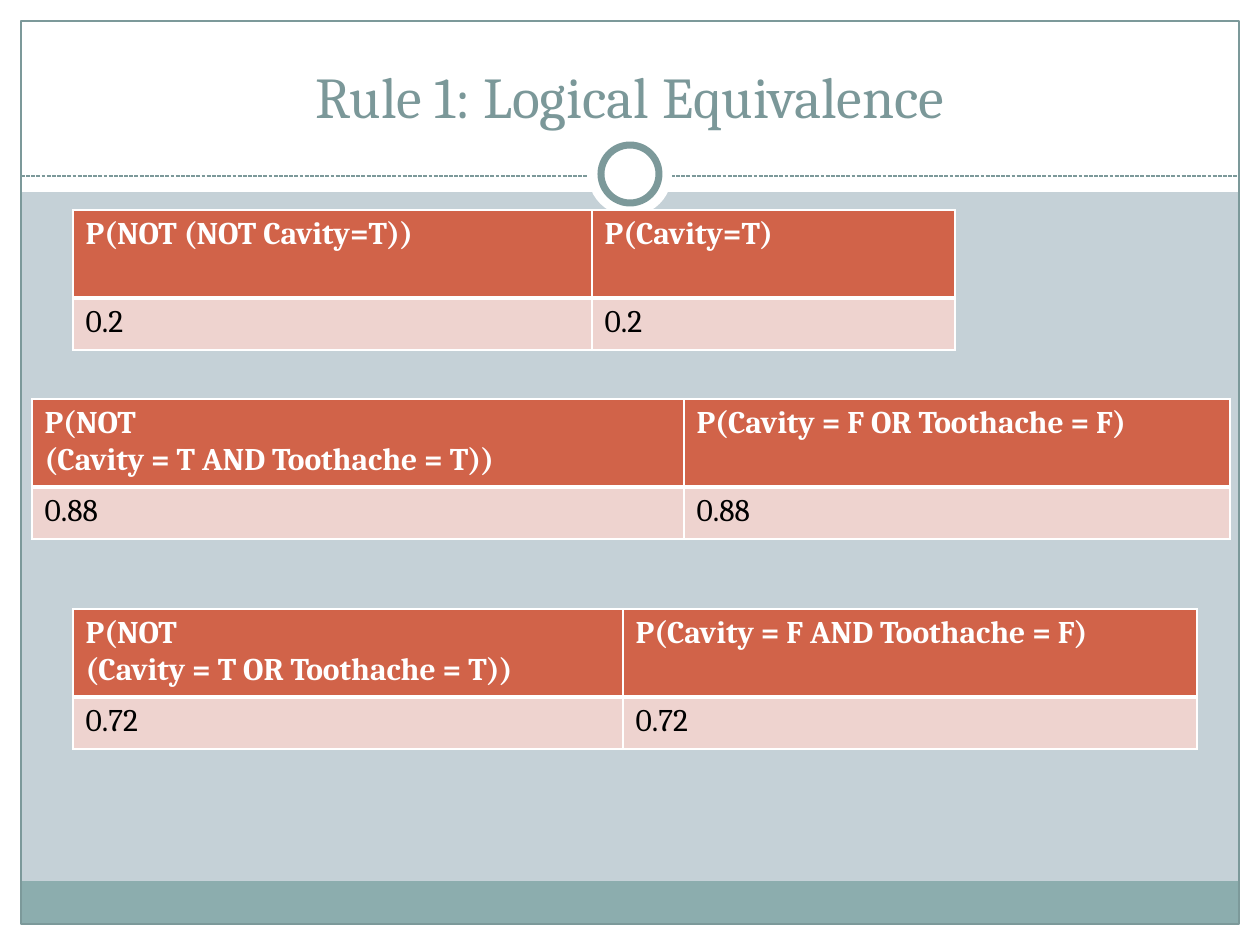
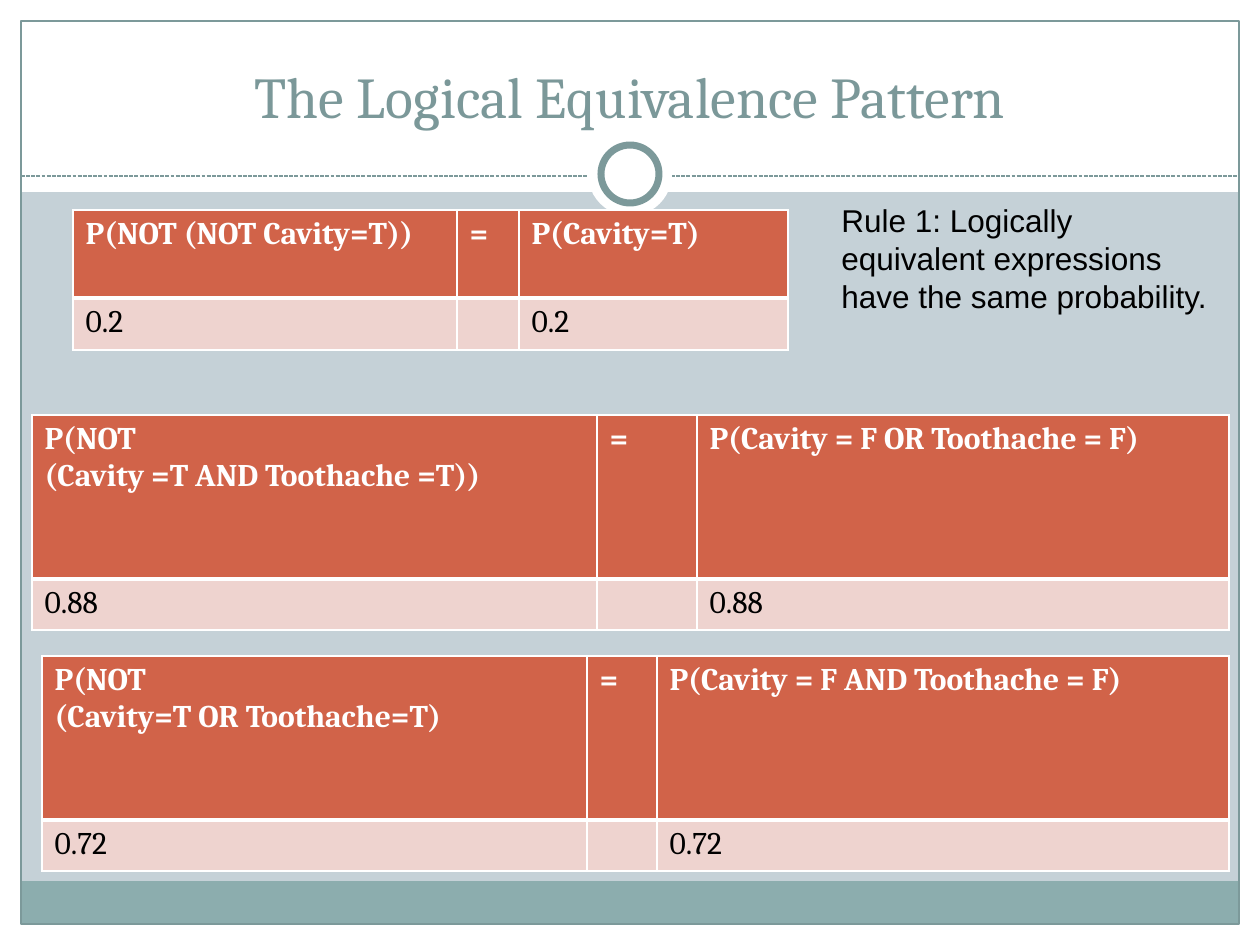
from lxml.etree import SubElement
from pptx import Presentation
from pptx.dml.color import RGBColor
from pptx.enum.dml import MSO_LINE
from pptx.enum.shapes import MSO_CONNECTOR, MSO_SHAPE
from pptx.enum.text import MSO_ANCHOR, MSO_AUTO_SIZE, PP_ALIGN
from pptx.oxml.ns import qn
from pptx.util import Emu, Pt

WHITE, BLACK = "FFFFFF", "000000"
BACKDROP, FOOTER, TEAL, TITLE = "C5D1D7", "8CADAE", "7C999A", "7B9899"
HEADER, VALUE = "D16349", "EED3CF"
SERIF, SANS = "Cambria", "Arial"

# Everything below is measured in px, 126 to the inch.
WIDTH, HEIGHT, EDGE = 1260, 945, 21
BAND_HEIGHT, RULE_Y, RING_Y = 192, 176, 174
SHORT_ROWS, TALL_ROWS = (88, 52), (164, 50)

SLIDES = [
    {
        "title": "Rule 1: Logical Equivalence",
        "tables": [
            {"at": (73, 210), "columns": (519, 363), "rows": SHORT_ROWS,
             "cells": [("P(NOT (NOT Cavity=T))", "P(Cavity=T)"),
                       ("0.2", "0.2")]},
            {"at": (73, 609), "columns": (550, 574), "rows": SHORT_ROWS,
             "cells": [("P(NOT\n(Cavity = T OR Toothache = T))",
                        "P(Cavity = F AND Toothache = F)"),
                       ("0.72", "0.72")]},
            {"at": (32, 399), "columns": (652, 546), "rows": SHORT_ROWS,
             "cells": [("P(NOT\n(Cavity = T AND Toothache = T))",
                        "P(Cavity = F OR Toothache = F)"),
                       ("0.88", "0.88")]},
        ],
    },
    {
        "title": "The Logical Equivalence Pattern",
        "tables": [
            {"at": (73, 210), "columns": (384, 62, 269), "rows": SHORT_ROWS,
             "cells": [("P(NOT (NOT Cavity=T))", "=", "P(Cavity=T)"),
                       ("0.2", "", "0.2")]},
            {"at": (42, 656), "columns": (545, 70, 572), "rows": TALL_ROWS,
             "cells": [("P(NOT\n(Cavity=T OR Toothache=T)", "=",
                        "P(Cavity = F AND Toothache = F)"),
                       ("0.72", "", "0.72")]},
            {"at": (32, 415), "columns": (565, 100, 532), "rows": TALL_ROWS,
             "cells": [("P(NOT\n(Cavity =T AND Toothache =T))", "=",
                        "P(Cavity = F OR Toothache = F)"),
                       ("0.88", "", "0.88")]},
        ],
        "rule": "Rule 1: Logically equivalent expressions "
                "have the same probability.",
    },
]


def px(length):
    return Emu(round(length * 914400 / 126))


def color(hex_code):
    return RGBColor.from_string(hex_code)


def write(frame, text, size, font, ink, bold=False, align=PP_ALIGN.LEFT):
    for index, line in enumerate(text.split("\n")):
        paragraph = frame.add_paragraph() if index else frame.paragraphs[0]
        paragraph.alignment = align
        run = paragraph.add_run()
        run.text = line
        run.font.size, run.font.name, run.font.bold = Pt(size), font, bold
        run.font.color.rgb = color(ink)


def add_shape(slide, preset, box, fill=None, outline=None, weight=0.75):
    shape = slide.shapes.add_shape(preset, *map(px, box))
    shape.shadow.inherit = False
    if fill:
        shape.fill.solid()
        shape.fill.fore_color.rgb = color(fill)
    else:
        shape.fill.background()
    if outline:
        shape.line.color.rgb = color(outline)
        shape.line.width = Pt(weight)
    else:
        shape.line.fill.background()


def add_frame(slide):
    """Draw the border, bands, dashed rule and ring shared by all slides."""
    inner = WIDTH - 2 * EDGE
    bottom = HEIGHT - EDGE
    for box, fill in [
        ((0, bottom, WIDTH, EDGE), WHITE),
        ((0, 0, WIDTH, BAND_HEIGHT), WHITE),
        ((0, 0, EDGE, HEIGHT), WHITE),
        ((WIDTH - EDGE, 0, EDGE, HEIGHT), WHITE),
        ((EDGE, bottom - 43, inner, 43), FOOTER),
    ]:
        add_shape(slide, MSO_SHAPE.RECTANGLE, box, fill)
    add_shape(slide, MSO_SHAPE.RECTANGLE,
              (EDGE, EDGE, inner, HEIGHT - 2 * EDGE), outline=TEAL)

    rule = slide.shapes.add_connector(
        MSO_CONNECTOR.STRAIGHT, px(EDGE), px(RULE_Y),
        px(WIDTH - EDGE), px(RULE_Y))
    rule.line.color.rgb = color(TEAL)
    rule.line.width = Pt(0.75)
    rule.line.dash_style = MSO_LINE.SQUARE_DOT
    SubElement(rule._element.spPr, qn("a:effectLst"))

    for diameter, outline in [(84, None), (58, TEAL)]:
        corner = WIDTH / 2 - diameter / 2, RING_Y - diameter / 2
        add_shape(slide, MSO_SHAPE.OVAL, (*corner, diameter, diameter),
                  WHITE, outline, 4)


def set_title(slide, text):
    title = slide.shapes.title
    title.left, title.top, title.width, title.height = map(
        px, (42, 31, 1176, 105))
    frame = title.text_frame
    frame.auto_size = MSO_AUTO_SIZE.NONE
    frame.vertical_anchor = MSO_ANCHOR.BOTTOM
    write(frame, text, 33, SERIF, TITLE, align=PP_ALIGN.CENTER)
    slide.shapes._spTree.append(title._element)  # above the white band


def set_borders(cell, is_header):
    top, bottom = (1, 3) if is_header else (3, 1)
    for side, weight in zip("LRTB", (1, 1, top, bottom)):
        line = SubElement(cell._tc.get_or_add_tcPr(), qn(f"a:ln{side}"),
                          w=str(Pt(weight)))
        SubElement(SubElement(line, qn("a:solidFill")),
                   qn("a:srgbClr"), val=WHITE)


def add_probabilities(slide, at, columns, rows, cells):
    size = sum(columns), sum(rows)
    table = slide.shapes.add_table(
        len(rows), len(columns), *map(px, (*at, *size))).table
    table.horz_banding = False
    for column, width in zip(table.columns, columns):
        column.width = px(width)
    for row, height in zip(table.rows, rows):
        row.height = px(height)
    for r, texts in enumerate(cells):
        is_header = r == 0
        for c, text in enumerate(texts):
            cell = table.cell(r, c)
            set_borders(cell, is_header)
            cell.fill.solid()
            cell.fill.fore_color.rgb = color(HEADER if is_header else VALUE)
            if text:
                write(cell.text_frame, text, 18, SERIF,
                      WHITE if is_header else BLACK, is_header)


def add_rule(slide, text):
    frame = slide.shapes.add_textbox(
        *map(px, (829, 195, 399, 127))).text_frame
    frame.word_wrap = True
    write(frame, text, 18, SANS, BLACK)


def main():
    deck = Presentation()
    deck.slide_width, deck.slide_height = px(WIDTH), px(HEIGHT)
    backdrop = deck.slide_master.background.fill
    backdrop.solid()
    backdrop.fore_color.rgb = color(BACKDROP)
    for content in SLIDES:
        slide = deck.slides.add_slide(deck.slide_layouts[5])
        add_frame(slide)
        set_title(slide, content["title"])
        for table in content["tables"]:
            add_probabilities(slide, **table)
        if "rule" in content:
            add_rule(slide, content["rule"])
    deck.save("out.pptx")


if __name__ == "__main__":
    main()
